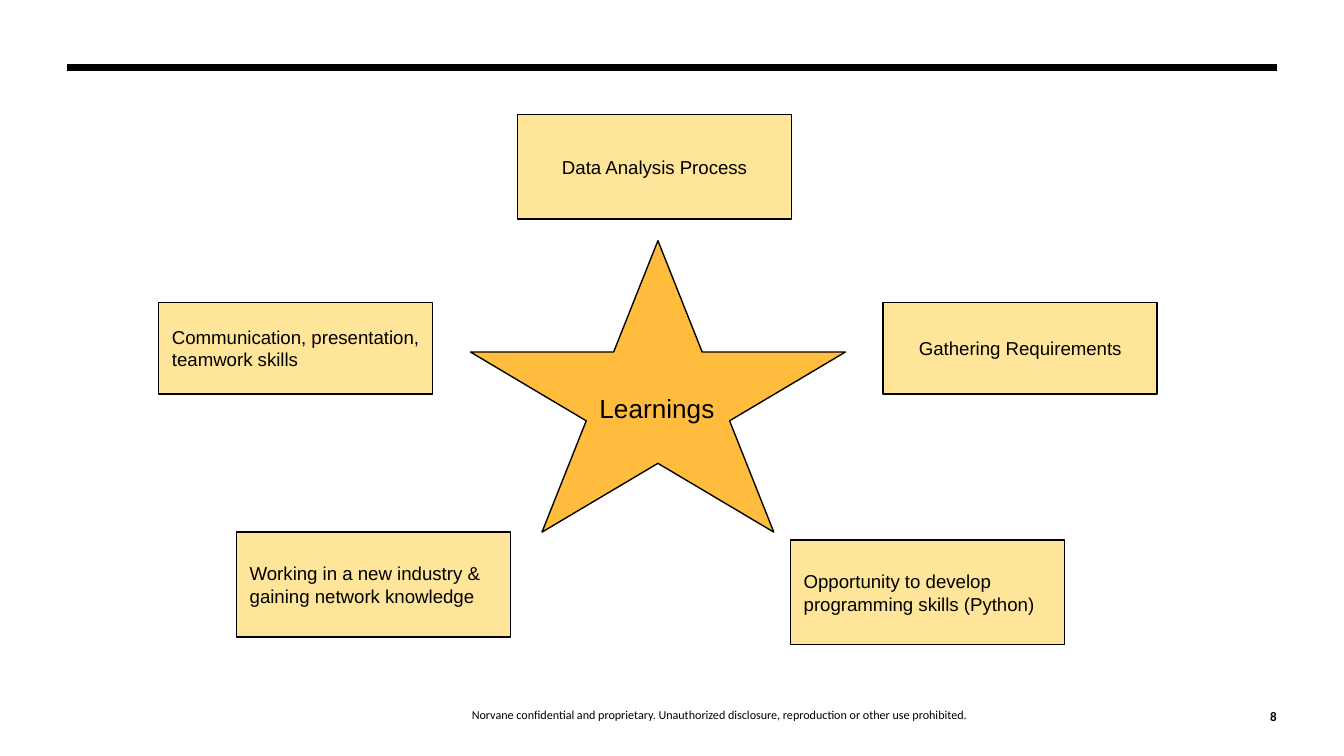
from dataclasses import dataclass

from lxml.etree import SubElement
from pptx import Presentation
from pptx.dml.color import RGBColor
from pptx.enum.shapes import MSO_CONNECTOR, MSO_SHAPE
from pptx.enum.text import MSO_ANCHOR, PP_ALIGN
from pptx.oxml.ns import qn
from pptx.util import Cm, Pt


@dataclass(frozen=True)
class Theme:
    ink: RGBColor = RGBColor.from_string("000000")
    card: RGBColor = RGBColor.from_string("FFE599")
    star: RGBColor = RGBColor.from_string("FFBC3D")
    body_font: str = "Arial"
    footer_font: str = "Calibri"
    card_size: float = 10
    star_size: float = 14
    footer_size: float = 6.5
    number_size: float = 7
    outline: float = 0.75
    rule: float = 3.75


class SlideBuilder:
    def __init__(self, page, theme):
        self.page = page
        self.theme = theme

    def label(self, box, text, font, size, align, anchor, inset, bold=False):
        frame = box.text_frame
        frame.text = text
        frame.word_wrap = True
        frame.vertical_anchor = anchor
        frame.margin_left = frame.margin_right = Cm(inset)
        frame.margin_top = frame.margin_bottom = Cm(inset)
        para = frame.paragraphs[0]
        para.alignment = align
        span = para.runs[0]
        span.font.name = font
        span.font.size = Pt(size)
        span.font.bold = bold
        span.font.color.rgb = self.theme.ink
        return para

    def shape(self, kind, bounds, fill, text, size, align):
        shape = self.page.shapes.add_shape(kind, *map(Cm, bounds))
        shape.shadow.inherit = False
        shape.fill.solid()
        shape.fill.fore_color.rgb = fill
        shape.line.color.rgb = self.theme.ink
        shape.line.width = Pt(self.theme.outline)
        self.label(shape, text, self.theme.body_font, size, align, MSO_ANCHOR.MIDDLE, 0.25)

    def card(self, bounds, text, align):
        self.shape(MSO_SHAPE.RECTANGLE, bounds, self.theme.card, text, self.theme.card_size, align)

    def star(self, bounds, text):
        self.shape(MSO_SHAPE.STAR_5_POINT, bounds, self.theme.star, text,
                   self.theme.star_size, PP_ALIGN.LEFT)

    def footer(self, bounds, text, size, align, bold=False):
        box = self.page.shapes.add_textbox(*map(Cm, bounds))
        return self.label(box, text, self.theme.footer_font, size, align,
                          MSO_ANCHOR.BOTTOM, 0, bold)

    def rule(self, left, right, top):
        line = self.page.shapes.add_connector(
            MSO_CONNECTOR.STRAIGHT, Cm(left), Cm(top), Cm(right), Cm(top))
        line.line.color.rgb = self.theme.ink
        line.line.width = Pt(self.theme.rule)
        SubElement(line._element.spPr, qn("a:effectLst"))


def main():
    deck = Presentation()
    deck.slide_width, deck.slide_height = Cm(25.4), Cm(14.29)
    theme = Theme()
    builder = SlideBuilder(deck.slides.add_slide(deck.slide_layouts[6]), theme)

    notice = builder.footer(
        (3.71, 12.8, 19.79, 0.84),
        "Norvane confidential and proprietary. Unauthorized disclosure, "
        "reproduction or other use prohibited.",
        theme.footer_size, PP_ALIGN.CENTER)
    notice.line_spacing = 1.14
    builder.rule(1.27, 24.13, 1.27)
    builder.footer((23.5, 13.06, 0.63, 0.63), "8", theme.number_size, PP_ALIGN.RIGHT, bold=True)

    card_width, tall, short = 5.18, 1.98, 1.73
    learnings = [
        (9.78, 2.16, tall, "Data Analysis Process", PP_ALIGN.CENTER),
        (16.69, 5.72, short, "Gathering Requirements", PP_ALIGN.CENTER),
        (14.94, 10.21, tall, "Opportunity to develop programming skills (Python)", PP_ALIGN.LEFT),
        (4.47, 10.06, tall, "Working in a new industry & gaining network knowledge", PP_ALIGN.LEFT),
        (3, 5.72, short, "Communication, presentation, teamwork skills", PP_ALIGN.LEFT),
    ]
    for left, top, height, text, align in learnings:
        builder.card((left, top, card_width, height), text, align)
    builder.star((8.89, 4.55, 7.09, 5.51), "Learnings")

    deck.save("out.pptx")


if __name__ == "__main__":
    main()
